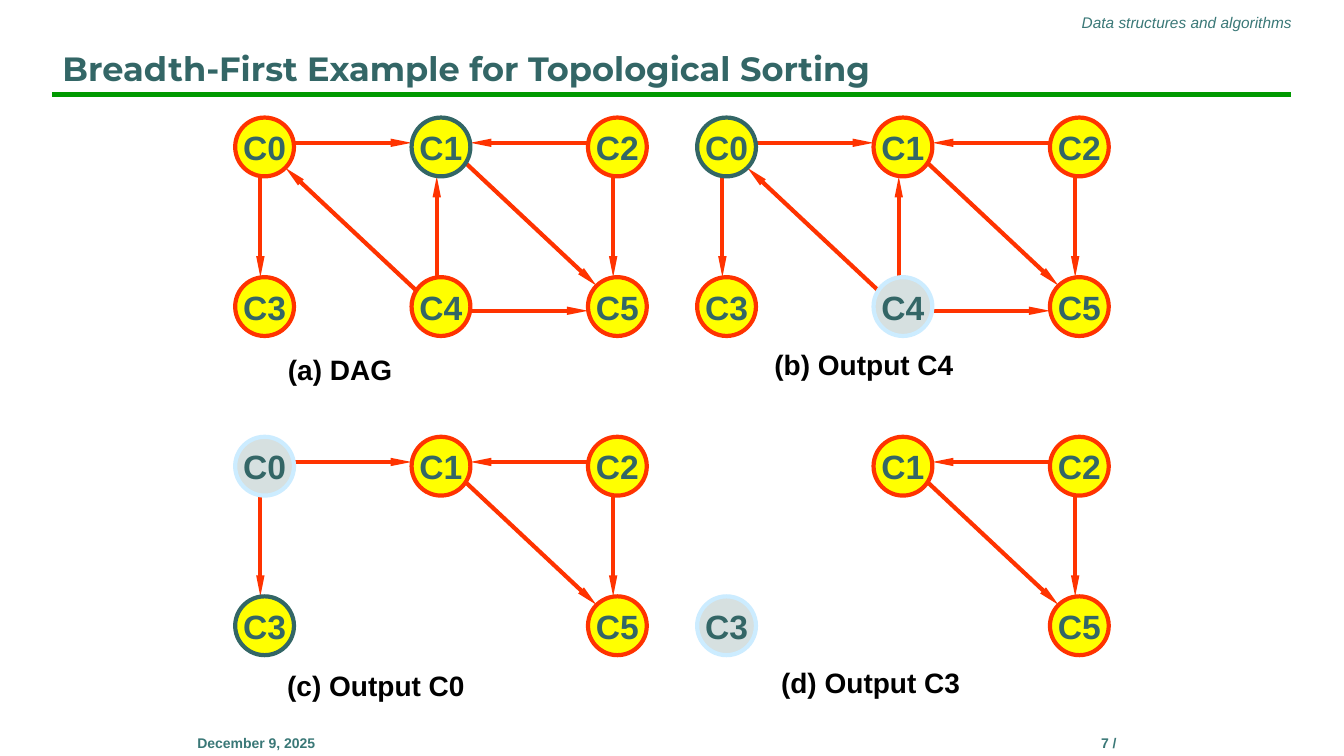
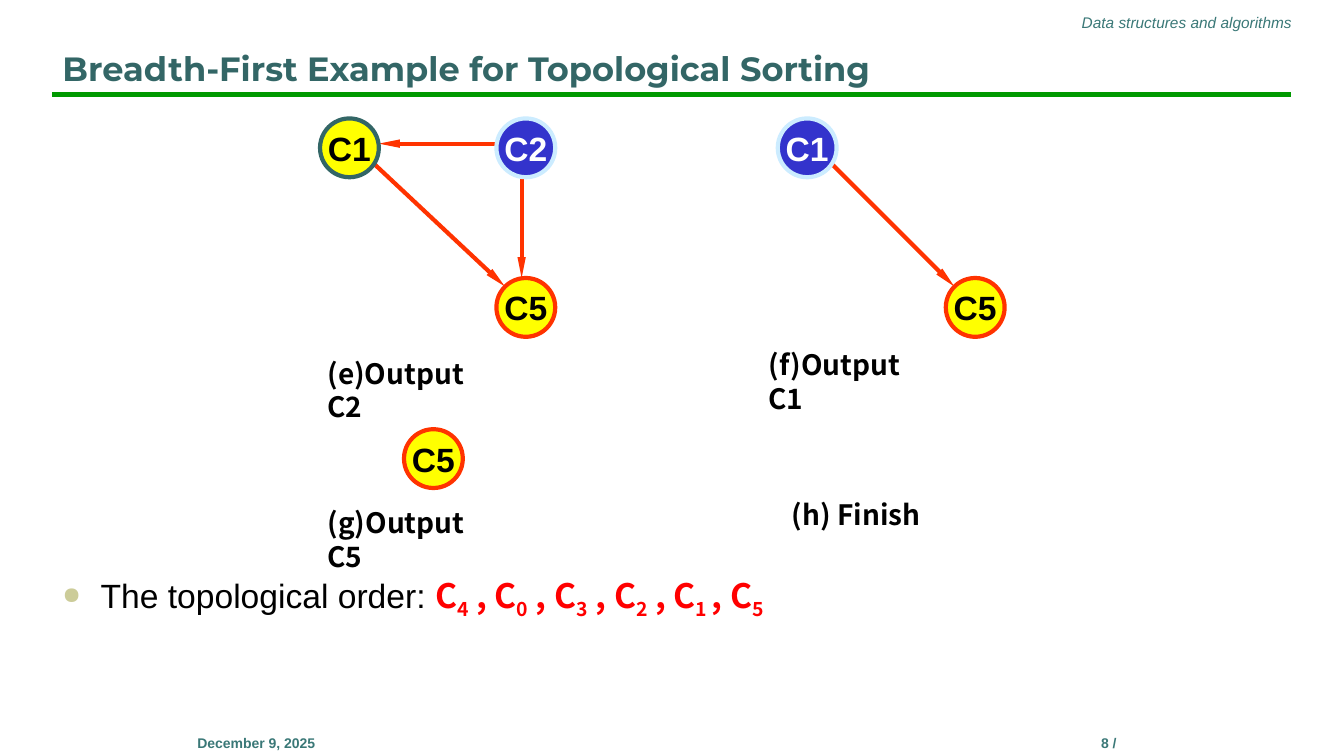
from pptx import Presentation
from pptx.dml.color import RGBColor
from pptx.enum.shapes import MSO_CONNECTOR, MSO_SHAPE
from pptx.enum.text import MSO_ANCHOR, PP_ALIGN
from pptx.oxml.ns import qn
from pptx.util import Inches, Pt
from lxml.etree import SubElement

BLACK = RGBColor(0x00, 0x00, 0x00)
WHITE = RGBColor(0xFF, 0xFF, 0xFF)
TEAL = RGBColor(0x33, 0x66, 0x66)
FOOTER_TEAL = RGBColor(0x3A, 0x78, 0x77)
GREEN = RGBColor(0x00, 0x99, 0x00)
ORANGE = RGBColor(0xFF, 0x33, 0x00)
RED = RGBColor(0xFF, 0x00, 0x00)
YELLOW = RGBColor(0xFF, 0xFF, 0x00)
GREY = RGBColor(0xD6, 0xE0, 0xE0)
BLUE = RGBColor(0x33, 0x33, 0xCC)
PALE_BLUE = RGBColor(0xCC, 0xEC, 0xFF)

CELL = Inches(1) / 12  # the slide is a grid of 160 by 90 cells
NODE = 7
COLUMN_STEP, ROW_STEP = 21, 19
NODE_CELLS = {f"C{i}": (i % 3 * COLUMN_STEP, i // 3 * ROW_STEP) for i in range(6)}

# Each edge: source, offset within it, target, offset within it
EDGES = [
    ("C0", (7, 3), "C1", (0, 3)),
    ("C2", (0, 3), "C1", (7, 3)),
    ("C0", (3, 7), "C3", (3, 0)),
    ("C4", (3, 0), "C1", (3, 7)),
    ("C4", (1, 2), "C0", (6, 6)),
    ("C4", (7, 4), "C5", (0, 4)),
    ("C2", (3, 7), "C5", (3, 0)),
    ("C1", (6, 5), "C5", (1, 1)),
]

# Each panel: origin, nodes, node output now, node output next, caption and its box
SLIDES = [
    dict(number=7, label=TEAL, done=GREY, done_label=TEAL, font="Arial", panels=[
        ((28, 14), "C0 C1 C2 C3 C4 C5", "", "C1", "(a) DAG", (33.1, 41.4, 18)),
        ((83, 14), "C0 C1 C2 C3 C4 C5", "C4", "C0", "(b) Output C4", (91, 40.8, 26)),
        ((28, 52), "C0 C1 C2 C3 C5", "C0", "C3", "(c) Output C0", (33, 79, 26)),
        ((83, 52), "C1 C2 C3 C5", "C3", "", "(d) Output C3", (91.8, 78.6, 26)),
    ]),
    dict(number=8, label=BLACK, done=BLUE, done_label=WHITE, font="Noto Sans CJK SC", panels=[
        ((17.1, 14.1), "C1 C2 C5", "C2", "C1", "(e)Output C2", (37.8, 41.8, 21)),
        ((71.6, 14.1), "C1 C5", "C1", "", "(f)Output C1", (90.3, 40.8, 21)),
        ((6.1, 32.1), "C5", "", "", "(g)Output C5", (37.8, 59.6, 21)),
        ((0, 0), "", "", "", "(h) Finish", (93.1, 58.6, 21)),
    ]),
]


def write(shape, text, size=24, color=BLACK, font="Arial", bold=False, italic=False,
          align=PP_ALIGN.LEFT, anchor=MSO_ANCHOR.TOP, wrap=True, baseline=0):
    """Append a formatted run to the shape's first paragraph."""
    frame = shape.text_frame
    frame.word_wrap, frame.vertical_anchor = wrap, anchor
    paragraph = frame.paragraphs[0]
    paragraph.alignment = align
    run = paragraph.add_run()
    run.text = text
    run.font.size, run.font.name = Pt(size), font
    run.font.bold, run.font.italic = bold, italic
    run.font.color.rgb = color
    if baseline:
        run.font._element.set("baseline", str(baseline))


def connect(slide, start, end, color, arrow=False):
    line = slide.shapes.add_connector(
        MSO_CONNECTOR.STRAIGHT, *(round(value * CELL) for value in (*start, *end)))
    line.line.color.rgb, line.line.width = color, Pt(3)
    if arrow:
        SubElement(line.line._get_or_add_ln(), qn("a:tailEnd"), type="triangle", w="sm", len="lg")
    SubElement(line._element.spPr, qn("a:effectLst"))


deck = Presentation()
deck.slide_width, deck.slide_height = round(160 * CELL), round(90 * CELL)

for content in SLIDES:
    slide = deck.slides.add_slide(deck.slide_layouts[6])
    connect(slide, (6.25, 11.25), (153.75, 11.25), GREEN)

    footer = dict(size=10, color=FOOTER_TEAL, bold=True, align=PP_ALIGN.CENTER)
    for box, text, style in [
        ((67.5, 1, 87.5, 3.5), "Data structures and algorithms",
         dict(size=11, color=FOOTER_TEAL, italic=True, align=PP_ALIGN.RIGHT)),
        ((114, 86.8, 36, 6), f"{content['number']} /", footer),
        ((12.5, 86.8, 36, 6), "December 9, 2025", footer),
        ((6.25, 2.75, 147.5, 8.4), "Breadth-First Example for Topological Sorting",
         dict(color=TEAL, font="Montserrat", bold=True, anchor=MSO_ANCHOR.BOTTOM)),
    ]:
        write(slide.shapes.add_textbox(*(round(v * CELL) for v in box)), text, **style)

    for (left, top), names, done, upcoming, caption, caption_box in content["panels"]:
        cells = {name: (left + NODE_CELLS[name][0], top + NODE_CELLS[name][1])
                 for name in names.split()}
        if caption.startswith("(f)"):
            cells["C5"] = (cells["C5"][0] - 1, cells["C5"][1])
        for source, leave, target, enter in EDGES:
            if source in cells and target in cells:
                connect(slide, [a + b for a, b in zip(cells[source], leave)],
                        [a + b for a, b in zip(cells[target], enter)], ORANGE, arrow=True)
        for name, (x, y) in cells.items():
            node = slide.shapes.add_shape(
                MSO_SHAPE.OVAL, *(round(v * CELL) for v in (x, y, NODE, NODE)))
            node.shadow.inherit = False
            node.fill.solid()
            node.fill.fore_color.rgb = content["done"] if name == done else YELLOW
            node.line.color.rgb = {done: PALE_BLUE, upcoming: TEAL}.get(name, ORANGE)
            node.line.width = Pt(3)
            write(node, name, bold=True, align=PP_ALIGN.CENTER, anchor=MSO_ANCHOR.MIDDLE,
                  wrap=False, color=content["done_label"] if name == done else content["label"])
        caption_shape = slide.shapes.add_textbox(
            *(round(v * CELL) for v in (*caption_box, 5.3)))
        write(caption_shape, caption, size=20, font=content["font"], bold=True)

# The order closes the last slide as a bulleted line
order = slide.shapes.add_textbox(*(round(v * CELL) for v in (6.25, 67.8, 147.5, 7)))
write(order, "The topological order: ")
for letter, index in [("C", "4"), (" , C", "0"), (" , C", "3"), (" , C", "2"),
                      (" , C", "1 "), (", C", "5")]:
    for text, baseline in [(letter, 0), (index, -25000)]:
        write(order, text, color=RED, font="Noto Sans CJK SC", bold=True, baseline=baseline)
bullet = order.text_frame.paragraphs[0]._p.get_or_add_pPr()
bullet.set("marL", str(Inches(0.38)))
bullet.set("indent", str(-Inches(0.38)))
SubElement(SubElement(bullet, qn("a:buClr")), qn("a:srgbClr"), val="CCCC99")
SubElement(bullet, qn("a:buSzPct"), val="70000")
SubElement(bullet, qn("a:buChar"), char="●")

deck.save("out.pptx")
